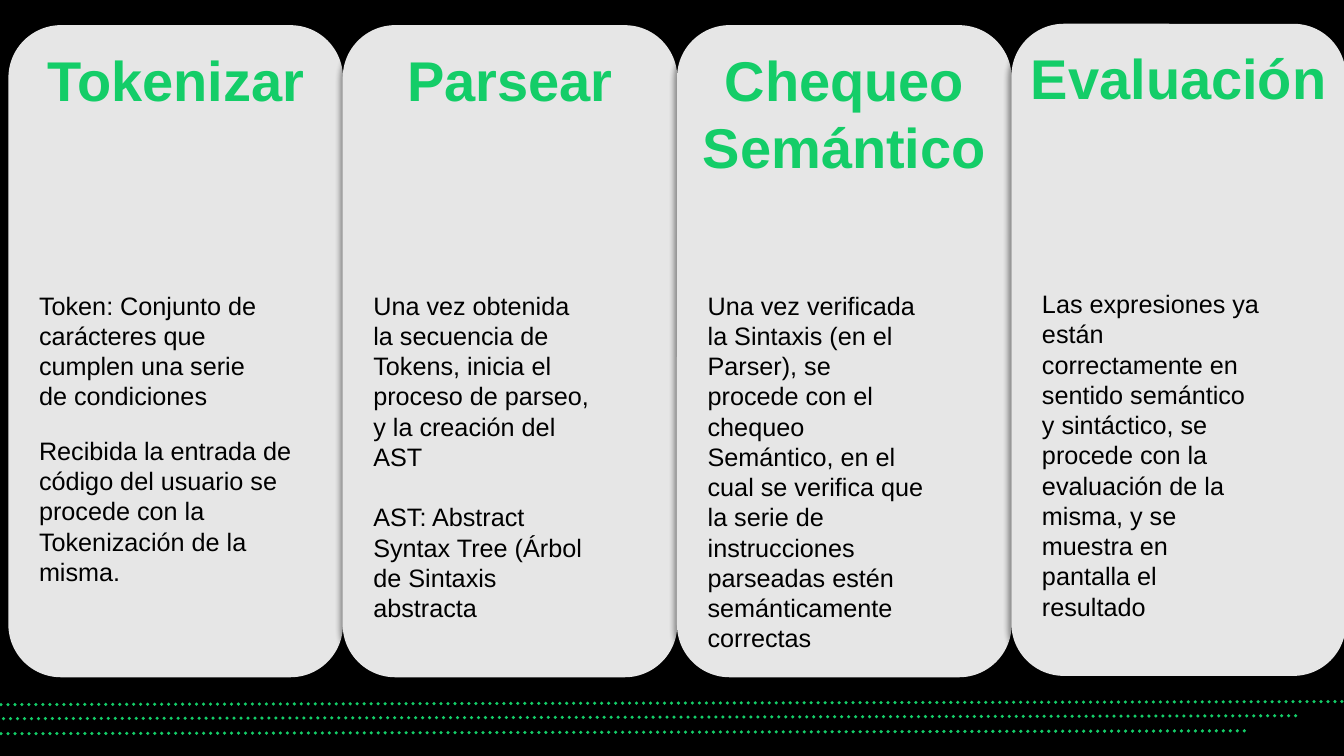
"""Build the slide with the four stages of an interpreter as rounded panels."""
import pptx
import pptx.dml.color
import pptx.enum.dml
import pptx.enum.shapes
import pptx.enum.text
import pptx.oxml
import pptx.oxml.ns
import pptx.util
from lxml import etree

Pt = pptx.util.Pt
ALIGN = pptx.enum.text.PP_ALIGN

BLACK, PANEL_GREY, GREEN = "000000", "E6E6E6", "14CD68"
PANEL_LEFT, PANEL_PITCH = 6, 238.8
PANEL_WIDTH, PANEL_HEIGHT = 239, 465.8
TITLE_DOWN, TITLE_HEIGHT = 10.8, 87
BODY_LEFT, BODY_DOWN, BODY_WIDTH, BODY_GAP = 14.8, 185.6, 170, 21.6
TITLE_FORMAT = {"size": Pt(40), "bold": True, "name": "Arial"}
BODY_FORMAT = {"size": Pt(18), "name": "Arial"}

STAGES = [
    {"top": 18, "title": ["Tokenizar"], "bodies": [
        (BODY_DOWN, BODY_WIDTH, 94.3,
         ["Token: Conjunto de carácteres que cumplen una serie de condiciones"]),
        (289.4, 209.5, 116,
         ["Recibida la entrada de código del usuario se procede con la "
          "Tokenización de la misma."])]},
    {"top": 18, "title": ["Parsear"], "bodies": [
        (BODY_DOWN, BODY_WIDTH, 247,
         ["Una vez obtenida la secuencia de Tokens, inicia el proceso de parseo, "
          "y la creación del AST",
          "AST: Abstract Syntax Tree (Árbol de Sintaxis abstracta"])]},
    {"top": 18, "title": ["Chequeo", "Semántico"], "bodies": [
        (BODY_DOWN, BODY_WIDTH, 268.6,
         ["Una vez verificada la Sintaxis (en el Parser), se procede con el chequeo "
          "Semántico, en el cual se verifica que la serie de instrucciones parseadas "
          "estén semánticamente correctas"])]},
    {"top": 17, "title": ["Evaluación"], "bodies": [
        (BODY_DOWN, BODY_WIDTH, 247,
         ["Las expresiones ya están correctamente en sentido semántico y sintáctico, "
          "se procede con la evaluación de la misma, y se muestra en pantalla "
          "el resultado"])]},
]
DOTTED_LINES = [(0.7, 503.3), (-32.4, 513.4), (-69.1, 524.2)]
LINE_RUN, LINE_RISE = 959, 2.2

SHADOW = (
    f'<a:effectLst {pptx.oxml.ns.nsdecls("a")}><a:outerShdw blurRad="50800" dist="38100" '
    'dir="8100000" algn="tr" rotWithShape="0"><a:srgbClr val="000000">'
    '<a:alpha val="40000"/></a:srgbClr></a:outerShdw></a:effectLst>')


def color(value):
    return pptx.dml.color.RGBColor.from_string(value)


def add_text(page, box, lines, formats, ink, align, gap=0):
    frame = page.shapes.add_textbox(*map(Pt, box)).text_frame
    frame.word_wrap = True
    for index, line in enumerate(lines):
        para = frame.add_paragraph() if index else frame.paragraphs[0]
        para.alignment = align
        para.space_before = Pt(gap if index else 0)
        span = para.add_run()
        span.text = line
        span.font.color.rgb = color(ink)
        for name, value in formats.items():
            setattr(span.font, name, value)


def add_stage(page, left, stage):
    top = stage["top"]
    panel = page.shapes.add_shape(
        pptx.enum.shapes.MSO_SHAPE.ROUNDED_RECTANGLE,
        *map(Pt, (left, top, PANEL_WIDTH, PANEL_HEIGHT)))
    panel.adjustments[0] = 0.157
    panel.fill.solid()
    panel.fill.fore_color.rgb = color(PANEL_GREY)
    panel.line.fill.background()
    panel._element.spPr.append(pptx.oxml.parse_xml(SHADOW))
    add_text(page, (left, top + TITLE_DOWN, PANEL_WIDTH, TITLE_HEIGHT),
             stage["title"], TITLE_FORMAT, GREEN, ALIGN.CENTER)
    for down, width, height, lines in stage["bodies"]:
        add_text(page, (left + BODY_LEFT, top + down, width, height), lines,
                 BODY_FORMAT, BLACK, ALIGN.LEFT, BODY_GAP)


def add_dotted_line(page, left, top):
    line = page.shapes.add_connector(
        pptx.enum.shapes.MSO_CONNECTOR.STRAIGHT,
        *map(Pt, (left, top, left + LINE_RUN, top - LINE_RISE)))
    line.line.color.rgb = color(GREEN)
    line.line.width = Pt(2.5)
    line.line.dash_style = pptx.enum.dml.MSO_LINE.ROUND_DOT
    properties = line._element.spPr
    properties.find(pptx.oxml.ns.qn("a:ln")).set("cap", "rnd")
    etree.SubElement(properties, pptx.oxml.ns.qn("a:effectLst"))


def main():
    deck = pptx.Presentation()
    deck.slide_width, deck.slide_height = Pt(960), Pt(540)
    page = deck.slides.add_slide(deck.slide_layouts[6])
    page.background.fill.solid()
    page.background.fill.fore_color.rgb = color(BLACK)
    for index, stage in enumerate(STAGES):
        add_stage(page, PANEL_LEFT + index * PANEL_PITCH, stage)
    for left, top in DOTTED_LINES:
        add_dotted_line(page, left, top)
    deck.save("out.pptx")


if __name__ == "__main__":
    main()
